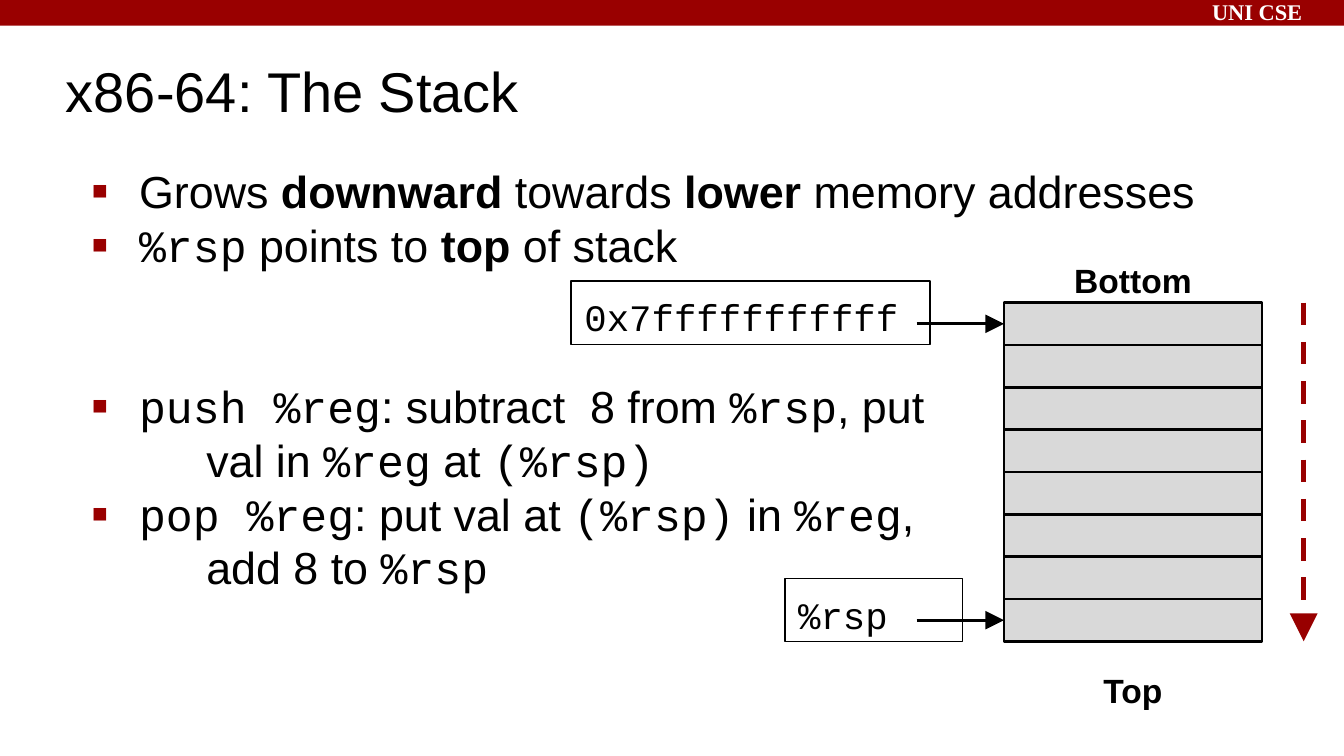
from lxml import etree
from pptx import Presentation
from pptx import util as u
from pptx.dml.color import RGBColor
from pptx.enum import dml, shapes, text
from pptx.oxml.ns import qn

WIDTH, HEIGHT = u.Pt(720), u.Pt(405)

RED = RGBColor(0x99, 0x00, 0x00)
ARROW_RED = RGBColor(0x98, 0x00, 0x00)
GREY = RGBColor(0xD9, 0xD9, 0xD9)
BLACK = RGBColor(0x00, 0x00, 0x00)
WHITE = RGBColor(0xFF, 0xFF, 0xFF)

SANS, MONO, SERIF = "Arial", "Courier New", "Times New Roman"

# The stack, in percent of the slide's width and height
STACK_LEFT, STACK_WIDTH = 74.7, 19.2
STACK_TOP, SLOT_HEIGHT, SLOT_COUNT = 40.04, 5.6, 8
ARROW_START = 68.2

# Body paragraphs: bulleted?, space before in points, runs of (text, font, bold)
BODY = [
    (True, 0, [("Grows ", SANS, False), ("downward", SANS, True),
               (" towards ", SANS, False), ("lower", SANS, True),
               (" memory addresses", SANS, False)]),
    (True, 0, [("%rsp", MONO, False), (" points to ", SANS, False),
               ("top", SANS, True), (" of stack", SANS, False)]),
    (True, 57.5, [("push %reg", MONO, False), (": subtract  8 from ", SANS, False),
                  ("%rsp", MONO, False), (", put", SANS, False)]),
    (False, 0, [("val in ", SANS, False), ("%reg", MONO, False),
                (" at ", SANS, False), ("(%rsp)", MONO, False)]),
    (True, 0, [("pop %reg", MONO, False), (": put val at ", SANS, False),
               ("(%rsp)", MONO, False), (" in ", SANS, False),
               ("%reg", MONO, False), (",", SANS, False)]),
    (False, 0, [("add 8 to ", SANS, False), ("%rsp", MONO, False)]),
]


def across(percent):
    return round(WIDTH * percent / 100)


def down(percent):
    return round(HEIGHT * percent / 100)


def area(left, top, width, height):
    return across(left), down(top), across(width), down(height)


def add_run(paragraph, words, size, font=SANS, bold=False, color=BLACK):
    run = paragraph.add_run()
    run.text = words
    run.font.name = font
    run.font.size = u.Pt(size)
    run.font.bold = bold
    run.font.color.rgb = color


def set_frame(shape, inset_x=0.1, inset_y=0.1, anchor=text.MSO_ANCHOR.TOP):
    frame = shape.text_frame
    frame.word_wrap = True
    frame.auto_size = text.MSO_AUTO_SIZE.NONE
    frame.vertical_anchor = anchor
    frame.margin_left = frame.margin_right = u.Inches(inset_x)
    frame.margin_top = frame.margin_bottom = u.Inches(inset_y)
    return frame


def place(shape, left, top, width, height):
    shape.left, shape.top, shape.width, shape.height = area(left, top, width, height)


def set_bullet(paragraph, bulleted):
    properties = paragraph._p.get_or_add_pPr()
    margin, indent = (0.5, -0.35) if bulleted else (1, 0)
    properties.set("marL", str(u.Inches(margin)))
    properties.set("indent", str(u.Inches(indent)))
    if not bulleted:
        etree.SubElement(properties, qn("a:buNone"))
        return
    color = etree.SubElement(properties, qn("a:buClr"))
    etree.SubElement(color, qn("a:srgbClr"), val=str(RED))
    etree.SubElement(properties, qn("a:buSzPct"), val="58000")
    etree.SubElement(properties, qn("a:buFont"), typeface=SANS)
    etree.SubElement(properties, qn("a:buChar"), char="■")


def add_rectangle(slide, position, fill, line_width=None):
    shape = slide.shapes.add_shape(shapes.MSO_SHAPE.RECTANGLE, *area(*position))
    shape.shadow.inherit = False
    shape.fill.solid()
    shape.fill.fore_color.rgb = fill
    if line_width:
        shape.line.color.rgb = BLACK
        shape.line.width = u.Pt(line_width)
    else:
        shape.line.fill.background()
    return shape


def add_label(slide, position, words):
    frame = set_frame(slide.shapes.add_textbox(*area(*position)))
    paragraph = frame.paragraphs[0]
    paragraph.alignment = text.PP_ALIGN.CENTER
    add_run(paragraph, words, 18, bold=True)


def add_code_box(slide, position, words):
    box = slide.shapes.add_textbox(*area(*position))
    box.line.color.rgb = BLACK
    box.line.width = u.Pt(0.75)
    add_run(set_frame(box).paragraphs[0], words, 20, MONO)


def add_arrow(slide, start, end, color, line_width, dashed=False):
    arrow = slide.shapes.add_connector(
        shapes.MSO_CONNECTOR.STRAIGHT,
        across(start[0]), down(start[1]), across(end[0]), down(end[1]))
    arrow.line.color.rgb = color
    arrow.line.width = u.Pt(line_width)
    if dashed:
        arrow.line.dash_style = dml.MSO_LINE.DASH
    etree.SubElement(arrow.line._get_or_add_ln(), qn("a:tailEnd"),
                     type="triangle", w="lg", len="lg")
    etree.SubElement(arrow._element.spPr, qn("a:effectLst"))
    return arrow


def add_pointer(slide, slot, index):
    middle = STACK_TOP + (index + 0.5) * SLOT_HEIGHT
    arrow = add_arrow(slide, (ARROW_START, middle), (STACK_LEFT, middle), BLACK, 1.5)
    arrow.end_connect(slot, 1)


def add_header(slide):
    add_rectangle(slide, (0, 0, 100, 3.38), RED)
    box = slide.shapes.add_textbox(*area(89.2, 0, 10.8, 3))
    frame = set_frame(box, inset_y=0, anchor=text.MSO_ANCHOR.MIDDLE)
    add_run(frame.paragraphs[0], "UNI CSE", 12, SERIF, True, WHITE)


def fill_title(title):
    place(title, 3.9, 6.4, 83, 11.03)
    paragraph = set_frame(title, anchor=text.MSO_ANCHOR.MIDDLE).paragraphs[0]
    paragraph.alignment = text.PP_ALIGN.LEFT
    add_run(paragraph, "x86-64: The Stack", 30)


def fill_body(body):
    place(body, 4.35, 19.9, 86.4, 72.5)
    frame = set_frame(body)
    for number, (bulleted, space, runs) in enumerate(BODY):
        paragraph = frame.add_paragraph() if number else frame.paragraphs[0]
        paragraph.space_before = u.Pt(space)
        set_bullet(paragraph, bulleted)
        for words, font, bold in runs:
            add_run(paragraph, words, 24, font, bold)


def add_stack(slide):
    slots = [
        add_rectangle(slide, (STACK_LEFT, STACK_TOP + index * SLOT_HEIGHT,
                              STACK_WIDTH, SLOT_HEIGHT), GREY, 1.5)
        for index in range(SLOT_COUNT)
    ]
    add_label(slide, (STACK_LEFT, 32.56, STACK_WIDTH, 5.7), "Bottom")
    add_label(slide, (STACK_LEFT, 86.83, STACK_WIDTH, 5.7), "Top")

    # Addresses pointing at the first and the last slot
    add_code_box(slide, (42.5, 37.19, 26.7, 8.36), "0x7fffffffffff")
    add_code_box(slide, (58.4, 76.51, 13.2, 8.36), "%rsp")
    for index in (0, SLOT_COUNT - 1):
        add_pointer(slide, slots[index], index)

    # Direction of growth
    stack_bottom = STACK_TOP + SLOT_COUNT * SLOT_HEIGHT
    add_arrow(slide, (97, STACK_TOP), (97, stack_bottom), ARROW_RED, 3, dashed=True)


def main():
    presentation = Presentation()
    presentation.slide_width, presentation.slide_height = WIDTH, HEIGHT
    slide = presentation.slides.add_slide(presentation.slide_layouts[1])
    add_header(slide)
    fill_title(slide.shapes.title)
    fill_body(slide.placeholders[1])
    add_stack(slide)
    presentation.save("out.pptx")


if __name__ == "__main__":
    main()
